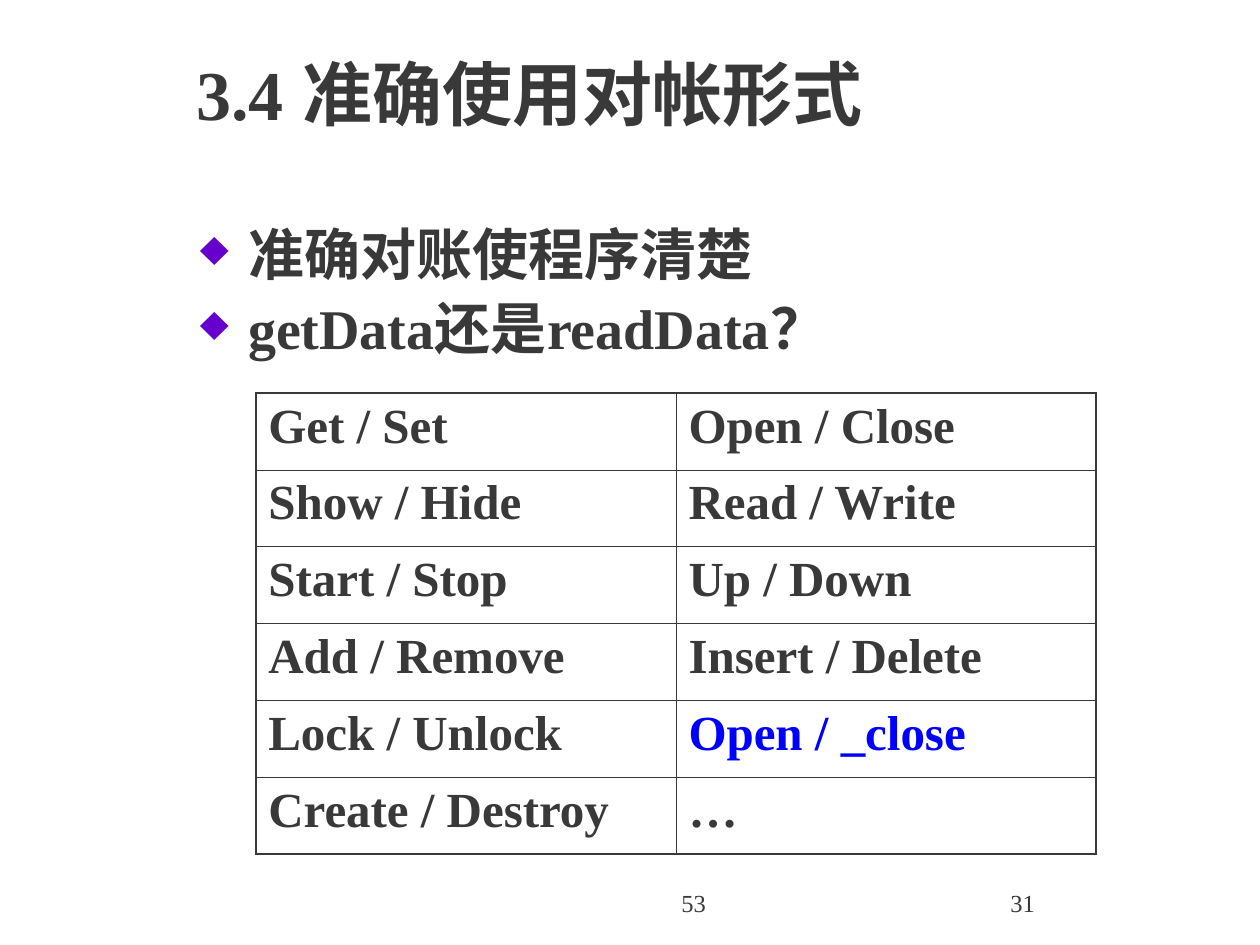
from lxml import etree
from pptx import Presentation
from pptx.dml.color import RGBColor
from pptx.enum.text import MSO_ANCHOR, PP_ALIGN
from pptx.oxml.ns import qn
from pptx.util import Inches, Pt

LEFT, CENTER = PP_ALIGN.LEFT, PP_ALIGN.CENTER
TOP, MIDDLE = MSO_ANCHOR.TOP, MSO_ANCHOR.MIDDLE
COLORS = {"text": "393939", "bullet": "6600CC", "highlight": "0000FF"}
FONT = "Times New Roman"
HIGHLIGHTED = "Open / _close"
PAIRS = [
    ("Get / Set", "Open / Close"),
    ("Show / Hide", "Read / Write"),
    ("Start / Stop", "Up / Down"),
    ("Add / Remove", "Insert / Delete"),
    ("Lock / Unlock", HIGHLIGHTED),
    ("Create / Destroy", "…"),
]


class SlideBuilder:
    """Holds the style and the current slide, and adds each kind of element."""

    def __init__(self, slide):
        self.slide = slide

    def style(self, paragraph, size, bold=True, color="text"):
        font = paragraph.font
        font.name, font.size, font.bold = FONT, Pt(size), bold
        font.color.rgb = RGBColor.from_string(COLORS[color])

    def frame(self, left, top, width, height, anchor=TOP):
        box = self.slide.shapes.add_textbox(
            Inches(left), Inches(top), Inches(width), Inches(height))
        frame = box.text_frame
        frame.word_wrap = True
        frame.vertical_anchor = anchor
        return frame

    def title(self, number, text, *position):
        paragraph = self.frame(*position, anchor=MIDDLE).paragraphs[0]
        for content, size in ((number, 40), (" ", 44), (text, 40)):
            run = paragraph.add_run()
            run.text = content
            run.font.size = Pt(size)
        self.style(paragraph, 40)

    def label(self, text, *position, align=LEFT):
        paragraph = self.frame(*position).paragraphs[0]
        paragraph.text = text
        paragraph.alignment = align
        self.style(paragraph, 14, bold=False)

    def bullets(self, lines, *position):
        frame = self.frame(*position)
        for index, line in enumerate(lines):
            paragraph = frame.add_paragraph() if index else frame.paragraphs[0]
            paragraph.text = line
            paragraph.line_spacing = 0.9
            if index:
                paragraph.space_before = Pt(8)
            properties = paragraph._p.get_or_add_pPr()
            properties.set("marL", str(Inches(0.38)))
            properties.set("indent", str(-Inches(0.38)))
            color = etree.SubElement(properties, qn("a:buClr"))
            etree.SubElement(color, qn("a:srgbClr"), val=COLORS["bullet"])
            etree.SubElement(properties, qn("a:buSzPct"), val="90000")
            etree.SubElement(properties, qn("a:buChar"), char="♦")
            self.style(paragraph, 32)

    def border(self, cell, side, width):
        properties = cell._tc.get_or_add_tcPr()
        line = etree.SubElement(properties, qn(f"a:ln{side}"), w=str(Pt(width)))
        fill = etree.SubElement(line, qn("a:solidFill"))
        etree.SubElement(fill, qn("a:srgbClr"), val=COLORS["text"])

    def table(self, rows, left, top, width, height):
        row_count, column_count = len(rows), len(rows[0])
        table = self.slide.shapes.add_table(
            row_count, column_count, Inches(left), Inches(top),
            Inches(width), Inches(height)).table
        table.first_row = table.horz_banding = False
        for row, texts in enumerate(rows):
            for column, text in enumerate(texts):
                cell = table.cell(row, column)
                outer = {"L": column == 0, "R": column == column_count - 1,
                         "T": row == 0, "B": row == row_count - 1}
                for side, is_outer in outer.items():
                    self.border(cell, side, 1.08 if is_outer else 0.45)
                cell.fill.background()
                paragraph = cell.text_frame.paragraphs[0]
                paragraph.text = text
                color = "highlight" if text == HIGHLIGHTED else "text"
                self.style(paragraph, 28, color=color)


def main():
    presentation = Presentation()
    presentation.slide_width, presentation.slide_height = Inches(10), Inches(7.5)
    slide = presentation.slides.add_slide(presentation.slide_layouts[6])
    builder = SlideBuilder(slide)
    builder.title("3.4", "准确使用对帐形式", 1.46, 0.05, 8.58, 1.32)
    builder.bullets(["准确对账使程序清楚", "getData还是readData？"],
                    1.49, 1.75, 8.15, 1.53)
    builder.label("53", 3.92, 7, 3.17, 0.5, align=CENTER)
    builder.label("31", 7.92, 7, 2.08, 0.5)
    builder.table(PAIRS, 2.03, 3.12, 6.67, 3.66)
    presentation.save("out.pptx")


if __name__ == "__main__":
    main()
